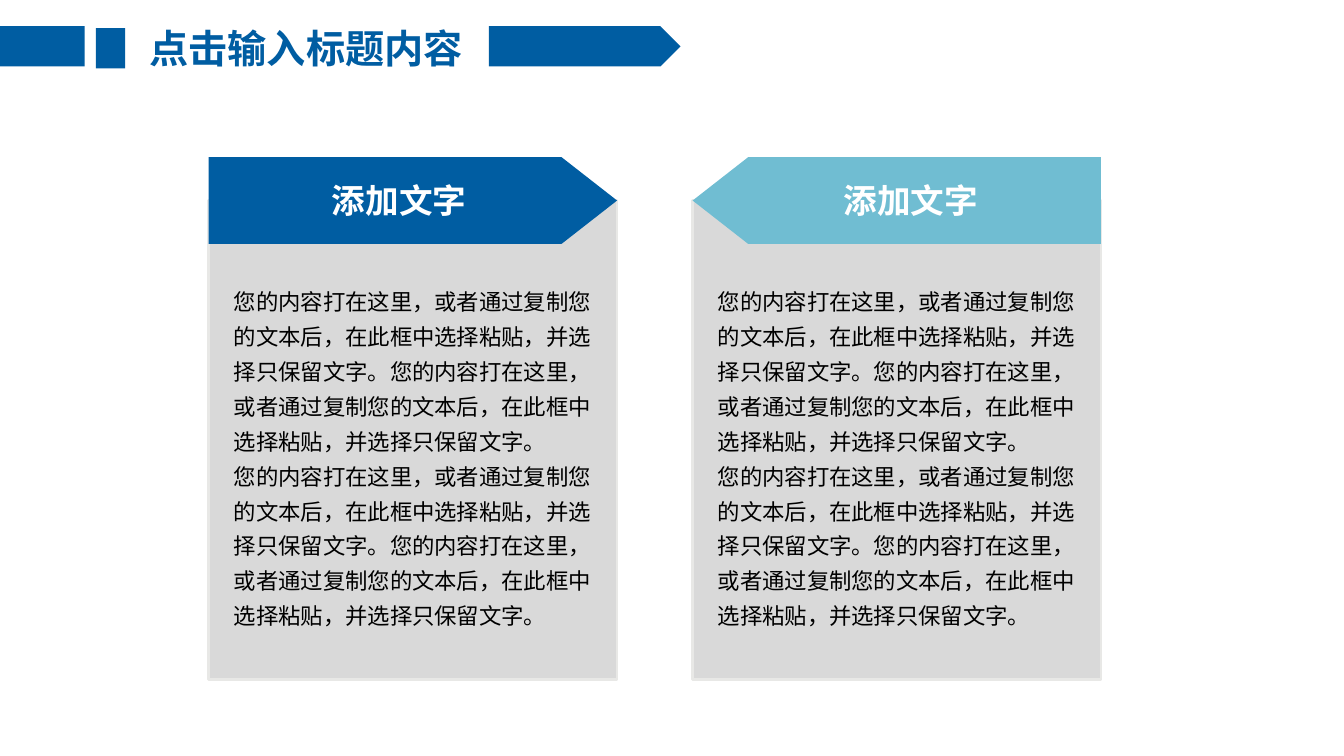
import pptx
import pptx.util
import pptx.dml.color
import pptx.enum.shapes
import pptx.enum.text
import pptx.oxml.ns
import lxml.etree

PX = 9144
FONT = "Noto Sans CJK SC"
HUES = {"blue": "005DA2", "aqua": "70BDD2", "gray": "D9D9D9",
        "edge": "E8E8E6", "white": "FFFFFF", "black": "000000"}
KIND = pptx.enum.shapes.MSO_SHAPE
ALIGN = pptx.enum.text.PP_ALIGN
ANCHOR = pptx.enum.text.MSO_ANCHOR


def hue(name):
    return pptx.dml.color.RGBColor.from_string(HUES[name])


def write(shape, *lines, size, color, bold=False, align=ALIGN.LEFT,
          anchor=ANCHOR.TOP, wrap=True, space=1.0):
    frame = shape.text_frame
    frame.word_wrap = wrap
    frame.vertical_anchor = anchor
    frame.text = "\n".join(lines)
    for para in frame.paragraphs:
        para.alignment = align
        para.line_spacing = space
        font = para.runs[0].font
        font.size = pptx.util.Pt(size)
        font.bold = bold
        font.color.rgb = hue(color)
        font.name = FONT
        east = lxml.etree.SubElement(font._rPr, pptx.oxml.ns.qn("a:ea"))
        east.set("typeface", FONT)


def draw(kind, box, fill, edge=None):
    shape = slide.shapes.add_shape(kind, *[n * PX for n in box])
    shape.shadow.inherit = False
    shape.fill.solid()
    shape.fill.fore_color.rgb = hue(fill)
    if edge:
        shape.line.color.rgb = hue(edge)
        shape.line.width = pptx.util.Pt(2)
    else:
        shape.line.fill.background()
    return shape


deck = pptx.Presentation()
deck.slide_width = 1333 * PX
deck.slide_height = 750 * PX
slide = deck.slides.add_slide(deck.slide_layouts[5])

title = slide.shapes.title
title.left, title.top, title.width, title.height = [n * PX for n in (124, 19, 359, 57)]
write(title, "点击输入标题内容", size=28, color="blue", bold=True,
      align=ALIGN.CENTER, anchor=ANCHOR.MIDDLE)

for kind, box in [(KIND.PENTAGON, (485, 26, 190, 40)),
                  (KIND.RECTANGLE, (0, 26, 84, 40)),
                  (KIND.RECTANGLE, (95, 28, 29, 40))]:
    draw(kind, box, "blue")

half = "您的内容打在这里，或者通过复制您的文本后，在此框中选择粘贴，并选择只保留文字。"
body = half * 2

for left, fill, flip in [(207, "blue", False), (687, "aqua", True)]:
    draw(KIND.RECTANGLE, (left, 199, 405, 475), "gray", "edge")
    head = draw(KIND.PENTAGON, (left, 156, 405, 86), fill)
    head.adjustments[0] = 0.64
    if flip:
        head._element.spPr.xfrm.set("flipH", "1")
    write(head, "添加文字", size=24, color="white", bold=True,
          align=ALIGN.CENTER, anchor=ANCHOR.MIDDLE, wrap=False)
    note = slide.shapes.add_textbox(*[n * PX for n in (left + 15, 273, 389, 360)])
    write(note, body, body, size=16, color="black", space=1.3)

deck.save("out.pptx")
